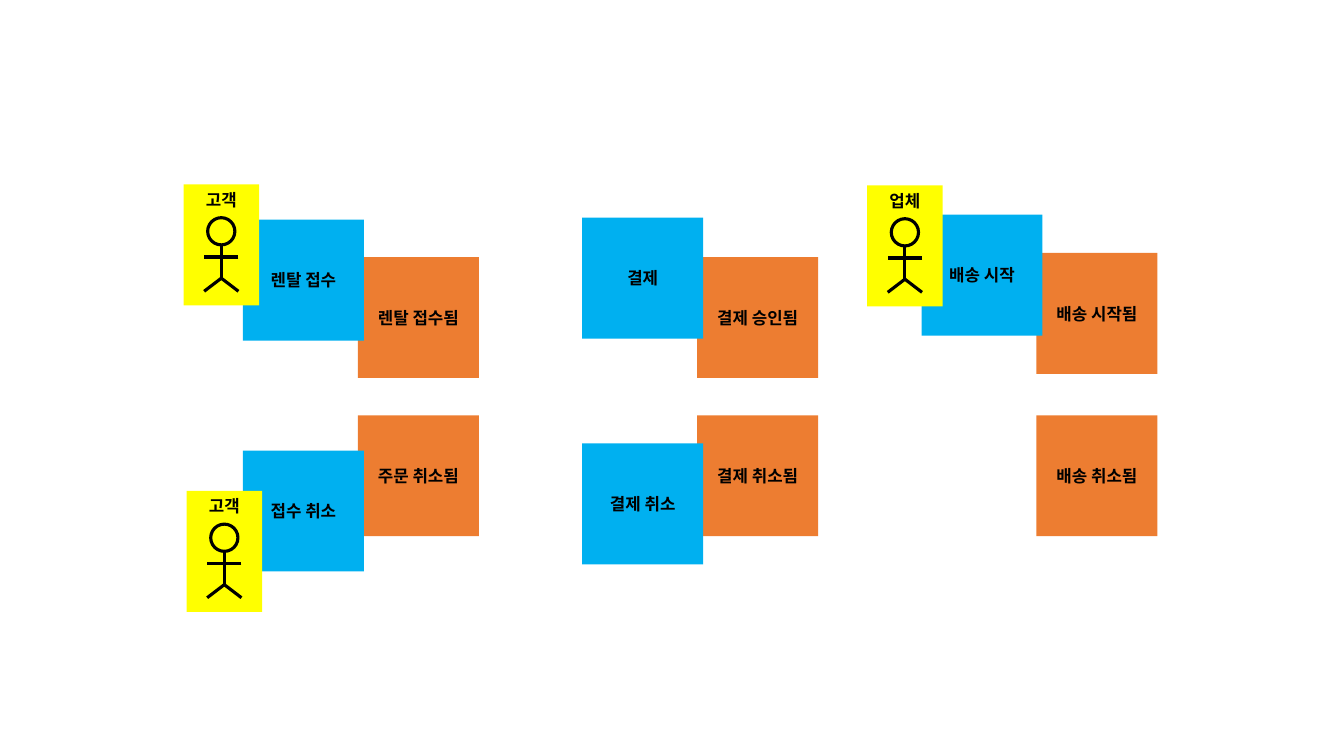
from pptx import Presentation, util as u
from pptx.dml.color import RGBColor
from pptx.enum import shapes, text
from pptx.oxml.ns import qn
from lxml import etree

ORANGE = RGBColor(0xED, 0x7D, 0x31)
BLUE = RGBColor(0x00, 0xB0, 0xF0)
YELLOW = RGBColor(0xFF, 0xFF, 0x00)
BLACK = RGBColor(0, 0, 0)

FONT = "Noto Sans CJK KR"
NOTE = 1.2         # side of a square note
CARD = 0.75        # width of an actor card
STEP = 3.365       # distance between process columns
EVENT, ACT = 3.55, 2.41   # left edge of each kind in the first column
HEAD = 0.27        # diameter of the figure's head
PEN = u.Pt(2.25)

# (column, top, label)
EVENTS = [
    (0, 2.55, "렌탈 접수됨"), (1, 2.55, "결제 승인됨"), (2, 2.51, "배송 시작됨"),
    (0, 4.12, "주문 취소됨"), (1, 4.12, "결제 취소됨"), (2, 4.12, "배송 취소됨"),
]
ACTS = [
    (0, 2.18, "렌탈 접수"), (0, 4.47, "접수 취소"),
    (1, 2.16, "결제"), (1, 4.4, "결제 취소"), (2, 2.13, "배송 시작"),
]
# (left, top, label)
ACTORS = [(1.82, 1.83, "고객"), (1.85, 4.87, "고객"), (8.6, 1.84, "업체")]

# Limbs of the figure, measured from the card's top centre
LIMBS = [
    ((0, 0.6), (0, 0.94)),
    ((0.17, 0.72), (-0.17, 0.72)),
    ((0.17, 1.06), (0, 0.93)),
    ((-0.17, 1.06), (0, 0.93)),
]


def write(shape, words, size=12, bold=True, color=BLACK,
          anchor=text.MSO_ANCHOR.MIDDLE):
    frame = shape.text_frame
    frame.word_wrap = True
    frame.vertical_anchor = anchor
    para = frame.paragraphs[0]
    para.alignment = text.PP_ALIGN.CENTER
    run = para.add_run()
    run.text = words
    font = run.font
    font.size, font.bold, font.name = u.Pt(size), bold, FONT
    font.color.rgb = color
    east = etree.SubElement(run._r.get_or_add_rPr(), qn("a:ea"))
    east.set("typeface", FONT)


def box(tree, left, top, width, color, words, **form):
    shape = tree.add_shape(shapes.MSO_SHAPE.RECTANGLE, u.Inches(left),
                           u.Inches(top), u.Inches(width), u.Inches(NOTE))
    shape.shadow.inherit = False
    shape.fill.solid()
    shape.fill.fore_color.rgb = color
    shape.line.fill.background()
    write(shape, words, **form)


def ring(tree, left, top, size):
    shape = tree.add_shape(shapes.MSO_SHAPE.OVAL, u.Inches(left),
                           u.Inches(top), u.Inches(size), u.Inches(size))
    shape.shadow.inherit = False
    shape.fill.background()
    shape.line.color.rgb = BLACK
    shape.line.width = PEN


def stroke(tree, *ends):
    line = tree.add_connector(shapes.MSO_CONNECTOR.STRAIGHT,
                              *[u.Inches(v) for v in ends])
    line.line.color.rgb = BLACK
    line.line.width = PEN
    etree.SubElement(line._element.spPr, qn("a:effectLst"))


def actor(tree, left, top, words):
    group = tree.add_group_shape().shapes
    mid = left + CARD / 2
    box(group, left, top, CARD, YELLOW, words, anchor=text.MSO_ANCHOR.TOP)
    ring(group, mid - HEAD / 2, top + 0.33, HEAD)
    for (xa, ya), (xb, yb) in LIMBS:
        stroke(group, mid + xa, top + ya, mid + xb, top + yb)


def main():
    deck = Presentation()
    deck.slide_width, deck.slide_height = u.Inches(13.33), u.Inches(7.5)
    tree = deck.slides.add_slide(deck.slide_layouts[6]).shapes

    # Events lie behind the commands that cause them
    for start, color, notes in ((EVENT, ORANGE, EVENTS), (ACT, BLUE, ACTS)):
        for col, top, words in notes:
            box(tree, start + col * STEP, top, NOTE, color, words)

    # Actors in front
    for left, top, words in ACTORS:
        actor(tree, left, top, words)

    deck.save("out.pptx")


main()
